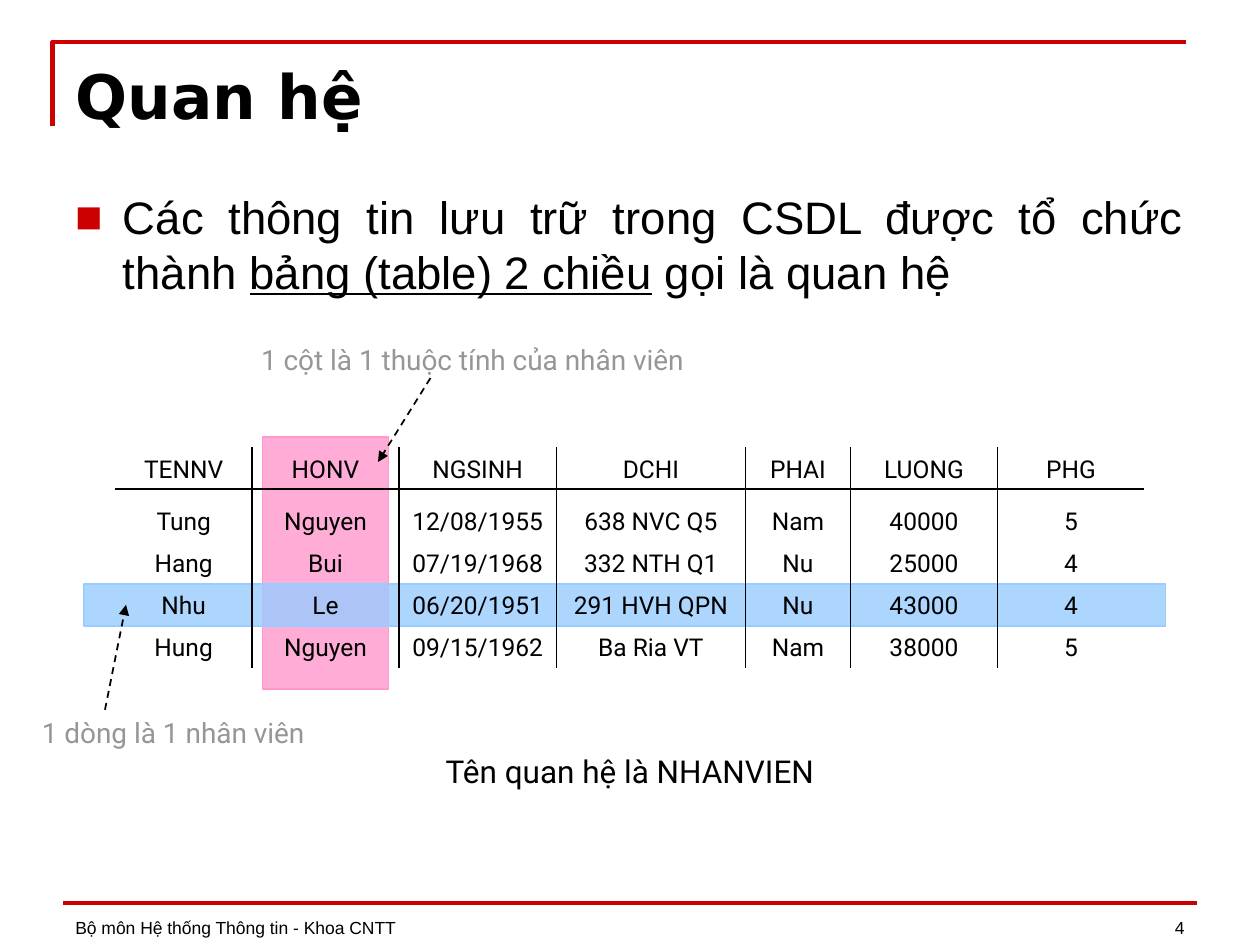
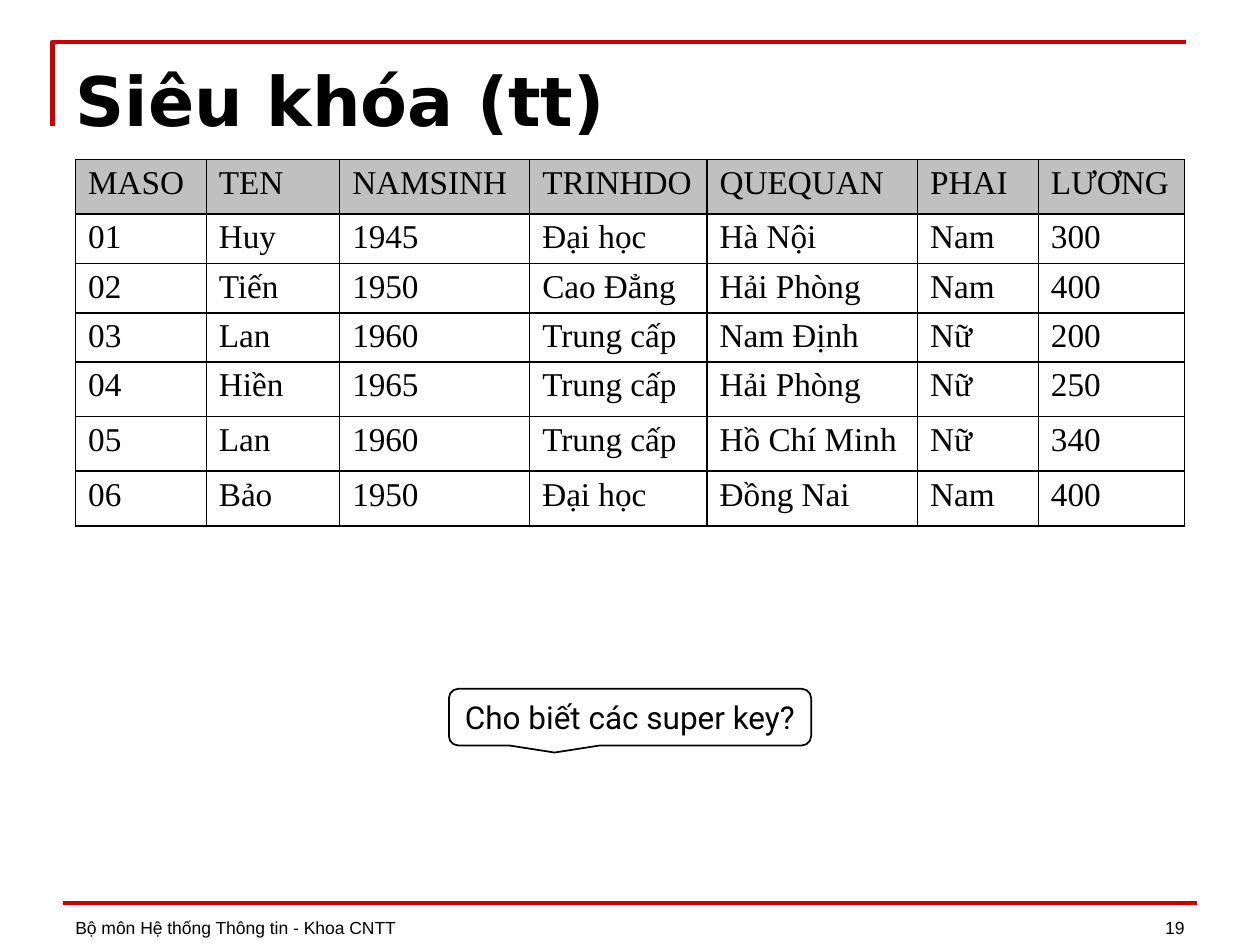
import pptx
import pptx.util
import pptx.dml.color
import pptx.enum.dml
import pptx.enum.shapes
import pptx.enum.text
import pptx.oxml.ns
from lxml import etree

Pt = pptx.util.Pt
qn = pptx.oxml.ns.qn
ALIGN = pptx.enum.text.PP_ALIGN
ANCHOR = pptx.enum.text.MSO_ANCHOR
SHAPE = pptx.enum.shapes.MSO_SHAPE
HEX = {"red": "CC0000", "ink": "000000", "note": "969696",
       "pink": "FF99CC", "blue": "99CCFF", "head": "C0C0C0"}
RGB = {name: pptx.dml.color.RGBColor.from_string(code) for name, code in HEX.items()}

deck = pptx.Presentation()
deck.slide_width = pptx.util.Inches(10)
deck.slide_height = pptx.util.Inches(7.5)
UNIT = deck.slide_width // 120  # the slide is a grid of 120 by 90 units


def write(frame, words, size, font, tint="ink", align=ALIGN.LEFT, anchor=ANCHOR.TOP):
    """Fill the first paragraph with (text, underlined) runs and return it."""
    frame.word_wrap = True
    frame.auto_size = pptx.enum.text.MSO_AUTO_SIZE.NONE
    frame.vertical_anchor = anchor
    para = frame.paragraphs[0]
    para.alignment = align
    para.space_before = Pt(0)
    for text, under in words:
        run = para.add_run()
        run.text = text
        run.font.size, run.font.name = Pt(size), font
        run.font.color.rgb = RGB[tint]
        run.font.underline = under
    return para


def rule(slide, x1, y1, x2, y2, tint="ink", width=1, arrow=False):
    """Draw a straight line between two grid points; an arrow is dashed."""
    ends = [round(n * UNIT) for n in (x1, y1, x2, y2)]
    line = slide.shapes.add_connector(pptx.enum.shapes.MSO_CONNECTOR.STRAIGHT, *ends)
    line.line.color.rgb = RGB[tint]
    line.line.width = Pt(width)
    if arrow:
        line.line.dash_style = pptx.enum.dml.MSO_LINE.DASH
        etree.SubElement(line.line._get_or_add_ln(), qn("a:tailEnd"), type="triangle")
    etree.SubElement(line._element.spPr, qn("a:effectLst"))


# Shared frame: title, red corner, footer
pages = []
for layout, name, size, tall, num in ((1, "Quan hệ", 35, 8.2, "4"),
                                      (5, "Siêu khóa (tt)", 39, 10.3, "19")):
    page = deck.slides.add_slide(deck.slide_layouts[layout])
    pages.append(page)
    pen = page.shapes.build_freeform(5 * UNIT, 12 * UNIT)
    pen.add_line_segments([(5 * UNIT, 4 * UNIT), (113 * UNIT, 4 * UNIT)], close=False)
    corner = pen.convert_to_shape()
    corner.shadow.inherit = False
    corner.fill.background()
    corner.line.color.rgb = RGB["red"]
    corner.line.width = Pt(2.5)
    rule(page, 6, 86, 114, 86, "red", 2)

    title = page.shapes.title
    title.left, title.top = 6 * UNIT, round(4.9 * UNIT)
    title.width, title.height = 108 * UNIT, round(tall * UNIT)
    write(title.text_frame, [(name, False)], size, "DejaVu Sans").runs[0].font.bold = True

    for left, wide, text, align in (
            (6, 73, "Bộ môn Hệ thống Thông tin - Khoa CNTT", ALIGN.LEFT),
            (86, 28, num, ALIGN.RIGHT)):
        foot = page.shapes.add_textbox(left * UNIT, round(83.9 * UNIT), wide * UNIT, 6 * UNIT)
        write(foot.text_frame, [(text, False)], 10, "Arial", "ink", align, ANCHOR.BOTTOM)

# Slide 1: a relation as columns and rows
page = pages[0]
body = page.placeholders[1]
body.left, body.top = 6 * UNIT, round(17.4 * UNIT)
body.width, body.height = 108 * UNIT, 63 * UNIT
para = body.text_frame.paragraphs[0]
props = para._p.get_or_add_pPr()
props.set("marL", str(round(4.5 * UNIT)))
props.set("indent", str(round(-4.5 * UNIT)))
tint = etree.SubElement(props, qn("a:buClr"))
etree.SubElement(tint, qn("a:srgbClr"), val=HEX["red"])
etree.SubElement(props, qn("a:buFont"), typeface="Arial")
etree.SubElement(props, qn("a:buChar"), char="■")
write(body.text_frame,
      [("Các thông tin lưu trữ trong CSDL được tổ chức thành ", False),
       ("bảng (table) 2 chiều", True),
       (" gọi là quan hệ", False)], 26, "Arial", "ink", ALIGN.JUSTIFY)

top, step = 42.6, 4
first = top + step + 1
end = first + 4 * step
for tint, left, high, wide, tall in (("pink", 25, top - 1, 12, 24),
                                     ("blue", 8, first + 2 * step, 103, step)):
    band = page.shapes.add_shape(SHAPE.RECTANGLE, left * UNIT, round(high * UNIT),
                                 wide * UNIT, tall * UNIT)
    band.shadow.inherit = False
    band.fill.solid()
    band.fill.fore_color.rgb = band.line.color.rgb = RGB[tint]
    band.line.width = Pt(1)
    shade = band._element.spPr.find(qn("a:solidFill")).find(qn("a:srgbClr"))
    etree.SubElement(shade, qn("a:alpha"), val="80000")

for left, high, wide, text, size, tint in (
        (22, 32, 46, "1 cột là 1 thuộc tính của nhân viên", 16, "note"),
        (2, 67.6, 29, "1 dòng là 1 nhân viên", 16, "note"),
        (33, 71, 54, "Tên quan hệ là NHANVIEN", 18, "ink")):
    label = page.shapes.add_textbox(left * UNIT, round(high * UNIT), wide * UNIT,
                                    round(4.6 * UNIT))
    write(label.text_frame, [(text, False)], size, "Roboto", tint, ALIGN.CENTER)
rule(page, 41, 36, 36, 44, arrow=True)
rule(page, 10, 67.6, 12, 57.6, arrow=True)

staff = (("TENNV", "HONV", "NGSINH", "DCHI", "PHAI", "LUONG", "PHG"),
         ("Tung", "Nguyen", "12/08/1955", "638 NVC Q5", "Nam", "40000", "5"),
         ("Hang", "Bui", "07/19/1968", "332 NTH Q1", "Nu", "25000", "4"),
         ("Nhu", "Le", "06/20/1951", "291 HVH QPN", "Nu", "43000", "4"),
         ("Hung", "Nguyen", "09/15/1962", "Ba Ria VT", "Nam", "38000", "5"))
left = 11
for col, wide in enumerate((13, 14, 15, 18, 10, 14, 14)):
    if col:
        rule(page, left, top, left, end)
    for row, names in enumerate(staff):
        high = first + (row - 1) * step if row else top
        box = page.shapes.add_textbox(left * UNIT, round(high * UNIT), wide * UNIT, step * UNIT)
        write(box.text_frame, [(names[col], False)], 14, "Roboto", "ink", ALIGN.CENTER)
    left += wide
rule(page, 11, top + step, left, top + step)

# Slide 2: table and question
page = pages[1]
people = (("MASO", "TEN", "NAMSINH", "TRINHDO", "QUEQUAN", "PHAI", "LƯƠNG"),
          ("01", "Huy", "1945", "Đại học", "Hà Nội", "Nam", "300"),
          ("02", "Tiến", "1950", "Cao Đẳng", "Hải Phòng", "Nam", "400"),
          ("03", "Lan", "1960", "Trung cấp", "Nam Định", "Nữ", "200"),
          ("04", "Hiền", "1965", "Trung cấp", "Hải Phòng", "Nữ", "250"),
          ("05", "Lan", "1960", "Trung cấp", "Hồ Chí Minh", "Nữ", "340"),
          ("06", "Bảo", "1950", "Đại học", "Đồng Nai", "Nam", "400"))
wides = (12.45, 12.7, 18.1, 16.9, 20.05, 11.5, 13.9)
talls = (5.2, 4.7, 4.7, 4.7, 5.2, 5.2, 5.2)
grid = page.shapes.add_table(len(talls), len(wides), round(7.2 * UNIT), round(15.2 * UNIT),
                             round(sum(wides) * UNIT), round(sum(talls) * UNIT)).table
grid.first_row = grid.horz_banding = False
for col, wide in zip(grid.columns, wides):
    col.width = round(wide * UNIT)
for row, (tall, names) in enumerate(zip(talls, people)):
    grid.rows[row].height = round(tall * UNIT)
    for col, text in enumerate(names):
        cell = grid.cell(row, col)
        cell.margin_top = cell.margin_bottom = UNIT // 2
        write(cell.text_frame, [(text, False)], 19, "Times New Roman")
        for side in ("lnL", "lnR", "lnT", "lnB"):
            edge = etree.SubElement(cell._tc.get_or_add_tcPr(), qn("a:" + side),
                                    w=str(Pt(1)))
            fill = etree.SubElement(edge, qn("a:solidFill"))
            etree.SubElement(fill, qn("a:srgbClr"), val=HEX["ink"])
        if row:
            cell.fill.background()
        else:
            cell.fill.solid()
            cell.fill.fore_color.rgb = RGB["head"]

ask = page.shapes.add_shape(SHAPE.ROUNDED_RECTANGULAR_CALLOUT, round(42.75 * UNIT),
                            round(65.6 * UNIT), round(34.5 * UNIT), round(5.4 * UNIT))
ask.shadow.inherit = False
ask.fill.background()
ask.line.color.rgb = RGB["ink"]
ask.line.width = Pt(1)
write(ask.text_frame, [("Cho biết các super key?", False)], 18, "Roboto", "ink",
      ALIGN.CENTER, ANCHOR.MIDDLE)
ask.text_frame.word_wrap = False

deck.save("out.pptx")
